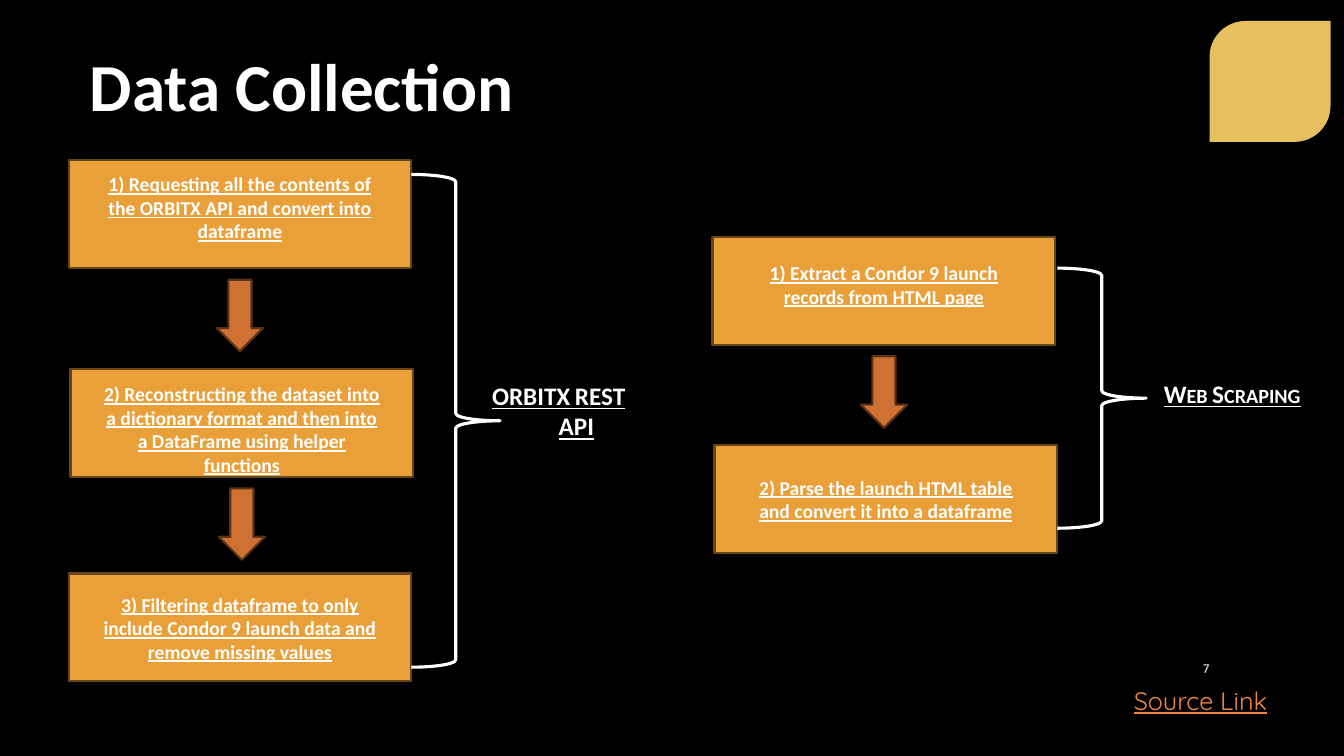
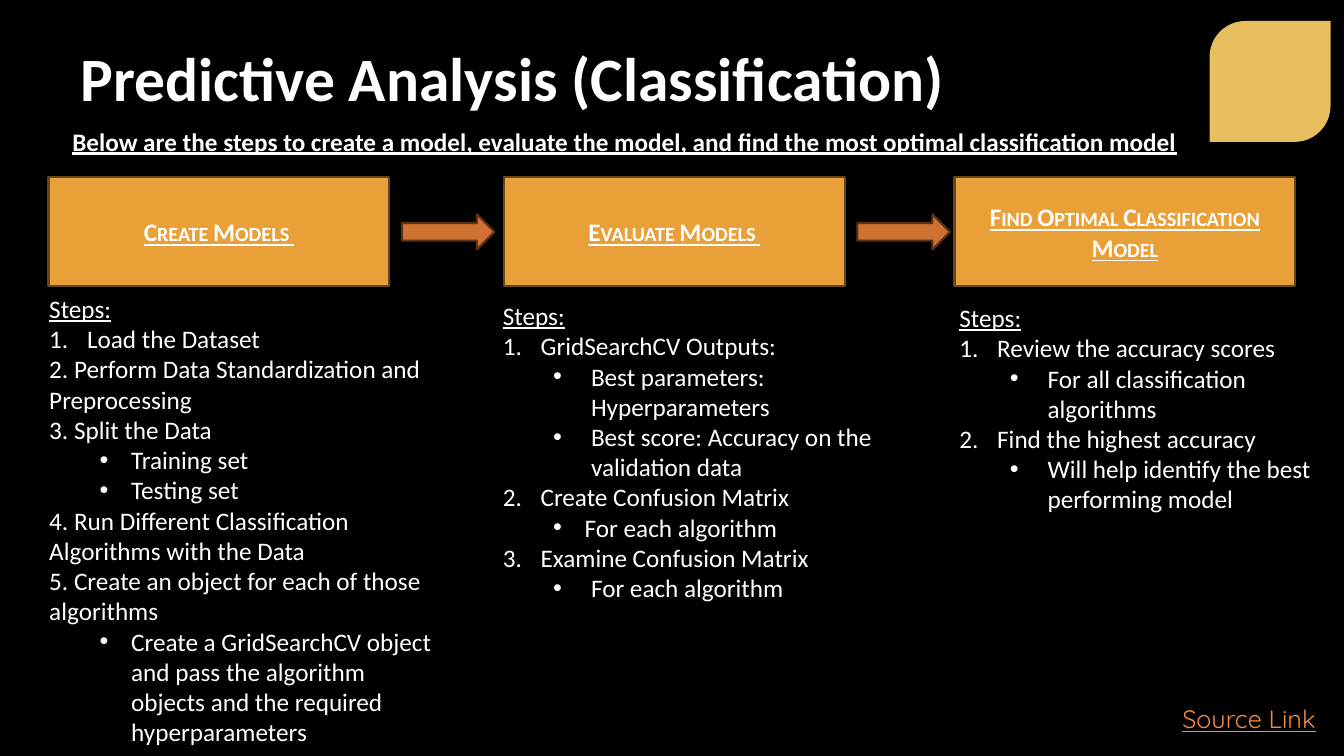
from dataclasses import dataclass

from lxml.etree import SubElement
from pptx import Presentation
from pptx.dml.color import RGBColor
from pptx.enum.shapes import MSO_SHAPE as SHAPE
from pptx.enum.text import MSO_ANCHOR as ANCHOR, PP_ALIGN as ALIGN
from pptx.oxml.ns import qn
from pptx.util import Pt


@dataclass(frozen=True)
class Theme:
    back: str = "000000"
    text: str = "FFFFFF"
    box: str = "E9A039"
    box_line: str = "664619"
    arrow: str = "CF7133"
    arrow_line: str = "5B3216"
    leaf: str = "E7BF5F"
    link: str = "F28943"
    number: str = "BFBFBF"
    font: str = "Calibri"
    accent_font: str = "Quicksand"
    body: float = 18
    step: float = 14
    small: float = 9
    outline: float = 1.5
    brace: float = 2.25


T = Theme()

# List style: level, left margin, first-line indent, bullet tag, bullet attributes
NUMBER = (0, 27, -27, "a:buAutoNum", {"type": "arabicPeriod"})
DOT = (1, 63, -27, "a:buChar", {"char": "•"})
TIGHT_DOT = (1, 58.5, -22.5, "a:buChar", {"char": "•"})


def rgb(value):
    return RGBColor.from_string(value)


def add_run(p, text, size=T.body, color=T.text, font=T.font,
            bold=False, underline=False, small_caps=False):
    r = p.add_run()
    r.text = text
    f = r.font
    f.name, f.size, f.bold, f.underline = font, Pt(size), bold, underline
    f.color.rgb = rgb(color)
    if small_caps:
        f._element.set("cap", "small")


def add_text(s, x, y, w, h, text, align=ALIGN.LEFT, anchor=ANCHOR.TOP, **style):
    tf = s.shapes.add_textbox(Pt(x), Pt(y), Pt(w), Pt(h)).text_frame
    tf.word_wrap = True
    tf.vertical_anchor = anchor
    p = tf.paragraphs[0]
    p.alignment = align
    add_run(p, text, **style)


def add_preset(s, kind, x, y, w, h, fill=None, line=None, width=T.outline):
    sp = s.shapes.add_shape(kind, Pt(x), Pt(y), Pt(w), Pt(h))
    sp.shadow.inherit = False
    if fill:
        sp.fill.solid()
        sp.fill.fore_color.rgb = rgb(fill)
    else:
        sp.fill.background()
    if line:
        sp.line.color.rgb = rgb(line)
        sp.line.width = Pt(width)
    else:
        sp.line.fill.background()
    return sp


def add_arrow(s, kind, x, y, w, h):
    add_preset(s, kind, x, y, w, h, T.arrow, T.arrow_line)


def add_box(s, x, y, w, h, text, side=7.2, top=None, **style):
    """Labelled box: centred vertically, or starting at inset top."""
    sp = add_preset(s, SHAPE.RECTANGLE, x, y, w, h, T.box, T.box_line)
    tf = sp.text_frame
    tf.word_wrap = True
    tf.margin_left = tf.margin_right = Pt(side)
    tf.vertical_anchor = ANCHOR.MIDDLE
    if top is not None:
        tf.vertical_anchor = ANCHOR.TOP
        tf.margin_top, tf.margin_bottom = Pt(top), Pt(0)
    p = tf.paragraphs[0]
    p.alignment = ALIGN.CENTER
    add_run(p, text, bold=True, underline=True, **style)


def add_slide(prs, title, x, y, size, link_x, link_y):
    """Slide with the shared title style, corner leaf and link."""
    s = prs.slides.add_slide(prs.slide_layouts[5])
    sp = s.shapes.title
    sp.left, sp.top, sp.width, sp.height = Pt(x), Pt(y), Pt(828), Pt(43.2)
    tf = sp.text_frame
    tf.word_wrap = True
    tf.vertical_anchor = ANCHOR.MIDDLE
    tf.margin_left = Pt(3.6)
    p = tf.paragraphs[0]
    p.alignment = ALIGN.LEFT
    p.line_spacing = 0.9
    add_run(p, title, size=size, bold=True)
    leaf = add_preset(s, SHAPE.ROUND_2_DIAG_RECTANGLE, 864, 15, 86.4, 86.4, T.leaf)
    leaf.adjustments[0] = 0.297
    add_text(s, link_x, link_y, 121.7, 28.8, "Source Link",
             color=T.link, font=T.accent_font, underline=True)
    return s


def add_flow(s, x, y, steps):
    """Boxes going down, joined by arrows; a step is dx, dy, text inset, text."""
    w, h, arrow_w, arrow_h = 244.8, 77, 33.1, 51.1
    for i, (dx, dy, top, text) in enumerate(steps):
        add_box(s, x + dx, y + dy, w, h, text, side=21.6, top=top, size=T.step)
        if i < len(steps) - 1:
            add_arrow(s, SHAPE.DOWN_ARROW, x + dx + (w - arrow_w) / 2,
                      y + dy + h + 8.3, arrow_w, arrow_h)


def add_brace(s, x, y, h, label, label_dx, label_dy, label_h):
    """Brace with a label placed from the brace's tip height."""
    add_preset(s, SHAPE.RIGHT_BRACE, x, y, 63.4, h, line=T.text, width=T.brace)
    add_text(s, x + label_dx, y + h / 2 + label_dy, 134.6, label_h, label,
             ALIGN.CENTER, bold=True, underline=True, small_caps=True)


def add_steps(s, x, y, w, h, items):
    tf = s.shapes.add_textbox(Pt(x), Pt(y), Pt(w), Pt(h)).text_frame
    tf.word_wrap = True
    add_run(tf.paragraphs[0], "Steps:", underline=True)
    for style, text in items:
        p = tf.add_paragraph()
        if style:
            level, margin, indent, tag, attrs = style
            p.level = level
            pPr = p._p.get_or_add_pPr()
            pPr.set("marL", str(Pt(margin)))
            pPr.set("indent", str(Pt(indent)))
            SubElement(pPr, qn("a:buFont"), typeface="Arial" if level else "+mj-lt")
            SubElement(pPr, qn(tag), **attrs)
        add_run(p, text)


def build_collection(prs):
    s = add_slide(prs, "Data Collection", 60.5, 42.5, 48, 802.8, 486)
    add_flow(s, 49, 114.5, [
        (0, 0, 8.6, "1) Requesting all the contents of the ORBITX API and convert into dataframe"),
        (1.4, 149, 9.4, "2) Reconstructing the dataset into a dictionary format "
                        "and then into a DataFrame using helper functions"),
        (0, 295.2, 13.7, "3) Filtering dataframe to only include Condor 9 launch data "
                         "and remove missing values"),
    ])
    add_flow(s, 509, 169.2, [
        (0, 0, 17.3, "1) Extract a Condor 9 launch records from HTML page"),
        (1.4, 149, 21.6, "2) Parse the launch HTML table and convert it into a dataframe"),
    ])
    add_brace(s, 293.8, 124.6, 352, "ORBITX REST API", 38, -32.8, 51)
    add_brace(s, 755.3, 191.5, 185.8, "Web Scraping", 57.6, -18, 28.8)
    add_text(s, 828, 463, 43.2, 28.8, "7", ALIGN.RIGHT, ANCHOR.MIDDLE,
             size=T.small, color=T.number, font=T.accent_font, bold=True)


def build_analysis(prs):
    s = add_slide(prs, "Predictive Analysis (Classification)", 54, 36.7, 44, 837.4, 499)
    add_text(s, 44.6, 86.4, 819.4, 28.8,
             "Below are the steps to create a model, evaluate the model, "
             "and find the most optimal classification model",
             bold=True, underline=True)
    # Stage: box left, heading, steps offset (dx, dy), steps size, steps
    stages = [
        (34.6, "Create Models ", (-6.5, 1.4), (294.5, 334), [
            (NUMBER, "Load the Dataset"),
            (None, "2. Perform Data Standardization and Preprocessing"),
            (None, "3. Split the Data"),
            (TIGHT_DOT, "Training set"),
            (TIGHT_DOT, "Testing set"),
            (None, "4. Run Different Classification Algorithms with the Data"),
            (None, "5. Create an object for each of those algorithms"),
            (TIGHT_DOT, "Create a GridSearchCV object and pass the algorithm "
                        "objects and the required hyperparameters"),
        ]),
        (360, "Evaluate Models ", (-7.9, 6.5), (305.3, 225.4), [
            (NUMBER, "GridSearchCV Outputs:"),
            (DOT, "Best parameters: Hyperparameters"),
            (DOT, "Best score: Accuracy on the validation data"),
            (NUMBER, "Create Confusion Matrix"),
            (TIGHT_DOT, "For each algorithm"),
            (NUMBER, "Examine Confusion Matrix"),
            (DOT, "For each algorithm"),
        ]),
        (681.8, "Find Optimal Classification Model", (-3.6, 7.9), (281.5, 159.8), [
            (NUMBER, "Review the accuracy scores"),
            (DOT, "For all classification algorithms"),
            (NUMBER, "Find the highest accuracy"),
            (DOT, "Will help identify the best performing model"),
        ]),
    ]
    y, w, h = 126.7, 243.4, 77.8
    for i, (x, heading, (dx, dy), (steps_w, steps_h), items) in enumerate(stages):
        add_box(s, x, y, w, h, heading, small_caps=True)
        add_steps(s, x + dx, y + h + dy, steps_w, steps_h, items)
        if i < len(stages) - 1:
            add_arrow(s, SHAPE.RIGHT_ARROW, x + w + 9, y + (h - 25.2) / 2, 66.2, 25.2)


def main():
    prs = Presentation()
    prs.slide_width, prs.slide_height = Pt(960), Pt(540)
    fill = prs.slide_master.background.fill
    fill.solid()
    fill.fore_color.rgb = rgb(T.back)
    build_collection(prs)
    build_analysis(prs)
    prs.save("out.pptx")


if __name__ == "__main__":
    main()
